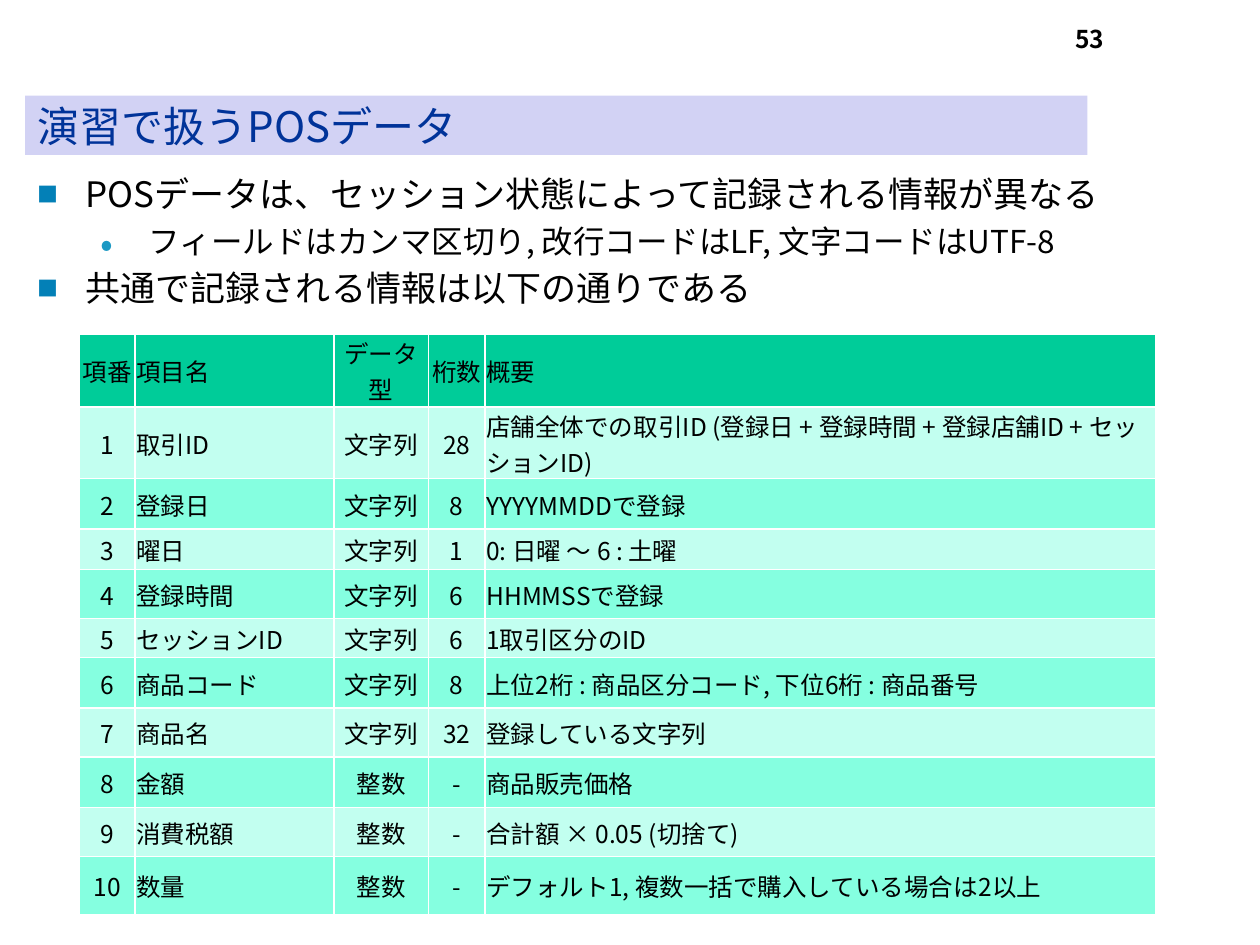
from pptx import Presentation
from pptx.dml.color import RGBColor
from pptx.enum.text import MSO_ANCHOR, MSO_AUTO_SIZE, PP_ALIGN
from pptx.oxml import parse_xml
from pptx.oxml.ns import nsdecls
from pptx.util import Inches, Pt

FONT = "Noto Sans CJK JP"
TITLE = "演習で扱うPOSデータ"
PAGE = "53"
POINTS = [
    (0, "POSデータは、セッション状態によって記録される情報が異なる"),
    (1, "フィールドはカンマ区切り, 改行コードはLF, 文字コードはUTF-8"),
    (0, "共通で記録される情報は以下の通りである"),
]
LEVELS = [
    {"bullet": "■", "scale": 60, "color": "0380B7", "size": 20, "indent": 0.38},
    {"bullet": "•", "scale": 120, "color": "1C99C4", "size": 18, "indent": 0.88},
]
HANGING = 0.38
HEADER = ("項番", "項目名", "データ型", "桁数", "概要")
FIELDS = [
    ("取引ID", "文字列", "28", "店舗全体での取引ID (登録日 + 登録時間 + 登録店舗ID + セッションID)"),
    ("登録日", "文字列", "8", "YYYYMMDDで登録"),
    ("曜日", "文字列", "1", "0: 日曜 ～ 6 : 土曜"),
    ("登録時間", "文字列", "6", "HHMMSSで登録"),
    ("セッションID", "文字列", "6", "1取引区分のID"),
    ("商品コード", "文字列", "8", "上位2桁 : 商品区分コード, 下位6桁 : 商品番号"),
    ("商品名", "文字列", "32", "登録している文字列"),
    ("金額", "整数", "-", "商品販売価格"),
    ("消費税額", "整数", "-", "合計額 × 0.05 (切捨て)"),
    ("数量", "整数", "-", "デフォルト1, 複数一括で購入している場合は2以上"),
]
COLUMN_WIDTHS = [0.44, 1.58, 0.75, 0.45, 5.32]
ROW_HEIGHTS = [0.58, 0.57, 0.4, 0.32, 0.39, 0.31, 0.4, 0.39, 0.4, 0.39, 0.46]
CENTERED = (0, 2, 3)
HEADER_FILL = "00CC99"
BANDS = ["85FFE0", "C2FFF0"]


def paint(fill, color):
    fill.solid()
    fill.fore_color.rgb = RGBColor.from_string(color)


def style(paragraph, size, color="000000", bold=False, align=PP_ALIGN.LEFT):
    paragraph.alignment = align
    for run in paragraph.runs:
        run.font.size = Pt(size)
        run.font.bold = bold
        run.font.name = FONT
        paint(run.font.fill, color)
        run.font._element.append(parse_xml(f'<a:ea {nsdecls("a")} typeface="{FONT}"/>'))


def place(shape, left, top, width, height):
    shape.left, shape.top = Inches(left), Inches(top)
    shape.width, shape.height = Inches(width), Inches(height)


def add_bullet(paragraph, level):
    properties = paragraph._p.get_or_add_pPr()
    properties.set("marL", str(Inches(level["indent"])))
    properties.set("indent", str(-Inches(HANGING)))
    for xml in (
        f'<a:buClr {nsdecls("a")}><a:srgbClr val="{level["color"]}"/></a:buClr>',
        f'<a:buSzPct {nsdecls("a")} val="{level["scale"] * 1000}"/>',
        f'<a:buFont {nsdecls("a")} typeface="{FONT}"/>',
        f'<a:buChar {nsdecls("a")} char="{level["bullet"]}"/>',
    ):
        properties.append(parse_xml(xml))


def add_borders(cell):
    properties = cell._tc.get_or_add_tcPr()
    for position, side in enumerate(("lnL", "lnR", "lnT", "lnB")):
        properties.insert(position, parse_xml(
            f'<a:{side} {nsdecls("a")} w="{Pt(1)}"><a:solidFill>'
            f'<a:srgbClr val="FFFFFF"/></a:solidFill></a:{side}>'))


def add_title(slide):
    title = slide.shapes.title
    place(title, 0.2, 0.76, 8.43, 0.47)
    paint(title.fill, "D2D2F4")
    frame = title.text_frame
    frame.text = TITLE
    frame.auto_size = MSO_AUTO_SIZE.NONE
    frame.vertical_anchor = MSO_ANCHOR.MIDDLE
    style(frame.paragraphs[0], 24, "003399")


def add_points(slide):
    body = slide.placeholders[1]
    place(body, 0.2, 1.32, 9.61, 1.17)
    frame = body.text_frame
    frame.text = "\n".join(text for _, text in POINTS)
    frame.auto_size = MSO_AUTO_SIZE.NONE
    for index, (paragraph, (depth, _)) in enumerate(zip(frame.paragraphs, POINTS)):
        paragraph.level = depth
        paragraph.space_before = Pt(4 if index else 0)
        add_bullet(paragraph, LEVELS[depth])
        style(paragraph, LEVELS[depth]["size"])


def add_page_number(slide):
    frame = slide.shapes.add_textbox(
        Inches(6.78), Inches(0.14), Inches(2.08), Inches(0.5)).text_frame
    frame.word_wrap = True
    frame.text = PAGE
    style(frame.paragraphs[0], 14, bold=True, align=PP_ALIGN.RIGHT)


def add_field_table(slide):
    rows = [HEADER] + [(str(n), *field) for n, field in enumerate(FIELDS, 1)]
    table = slide.shapes.add_table(
        len(rows), len(HEADER), Inches(0.63), Inches(2.65),
        Inches(sum(COLUMN_WIDTHS)), Inches(sum(ROW_HEIGHTS))).table
    for column, width in zip(table.columns, COLUMN_WIDTHS):
        column.width = Inches(width)
    for row, height in zip(table.rows, ROW_HEIGHTS):
        row.height = Inches(height)
    for r, values in enumerate(rows):
        for c, value in enumerate(values):
            cell = table.cell(r, c)
            cell.text = value
            cell.vertical_anchor = MSO_ANCHOR.MIDDLE
            cell.margin_left = cell.margin_right = cell.margin_top = Inches(0.01)
            cell.margin_bottom = 0
            paint(cell.fill, BANDS[r % 2] if r else HEADER_FILL)
            add_borders(cell)
            align = PP_ALIGN.CENTER if c in CENTERED else PP_ALIGN.LEFT
            style(cell.text_frame.paragraphs[0], 14, align=align)


def main():
    deck = Presentation()
    deck.slide_width, deck.slide_height = Inches(10), Inches(7.5)
    slide = deck.slides.add_slide(deck.slide_layouts[1])
    add_title(slide)
    add_points(slide)
    add_page_number(slide)
    add_field_table(slide)
    deck.save("out.pptx")


if __name__ == "__main__":
    main()
